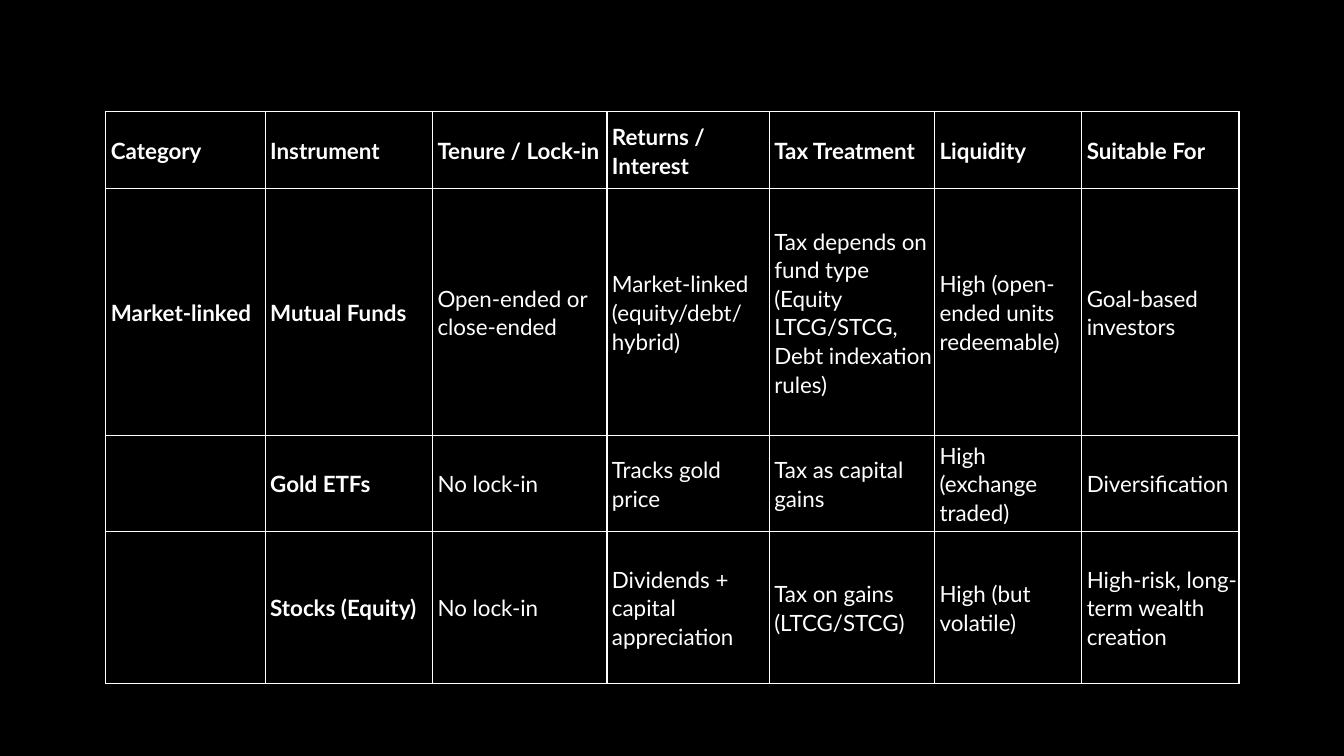
from pptx import Presentation
from pptx import util as u
from pptx.dml.color import RGBColor
from pptx.enum import text
from pptx.oxml import parse_xml
from pptx.oxml.ns import nsdecls

BLACK = RGBColor(0x00, 0x00, 0x00)
WHITE = RGBColor(0xFF, 0xFF, 0xFF)
PX = 9144

WIDTHS = [158, 166, 173, 161, 164, 146, 156]
HEIGHTS = [76, 245, 95, 151]
ROWS = [
    ["Category", "Instrument", "Tenure / Lock-in", "Returns / Interest",
     "Tax Treatment", "Liquidity", "Suitable For"],
    ["Market-linked", "Mutual Funds", "Open-ended or close-ended",
     "Market-linked (equity/debt/ hybrid)",
     "Tax depends on fund type (Equity LTCG/STCG, Debt indexation rules)",
     "High (open-ended units redeemable)", "Goal-based investors"],
    ["", "Gold ETFs", "No lock-in", "Tracks gold price",
     "Tax as capital gains", "High (exchange traded)", "Diversification"],
    ["", "Stocks (Equity)", "No lock-in", "Dividends + capital appreciation",
     "Tax on gains (LTCG/STCG)", "High (but volatile)",
     "High-risk, long-term wealth creation"],
]


class Deck:
    font = "Lato"
    size = u.Pt(16)
    ink = WHITE
    rule = u.Pt(1)

    def __init__(self, width, height):
        self.prs = Presentation()
        self.prs.slide_width = self.px(width)
        self.prs.slide_height = self.px(height)
        self.slide = self.prs.slides.add_slide(self.prs.slide_layouts[6])

    def px(self, n):
        return u.Emu(n * PX)

    def back(self, color):
        fill = self.slide.background.fill
        fill.solid()
        fill.fore_color.rgb = color

    def table(self, left, top, widths, heights, rows):
        box = [self.px(n) for n in (left, top, sum(widths), sum(heights))]
        grid = self.slide.shapes.add_table(len(rows), len(widths), *box).table
        grid.first_row = grid.horz_banding = False
        for col, width in zip(grid.columns, widths):
            col.width = self.px(width)
        for row, height in zip(grid.rows, heights):
            row.height = self.px(height)
        for r, row in enumerate(rows):
            for c, words in enumerate(row):
                self.cell(grid.cell(r, c), words, r == 0 or c < 2)

    def cell(self, cell, words, bold):
        self.edge(cell)
        cell.fill.background()
        cell.vertical_anchor = text.MSO_ANCHOR.MIDDLE
        cell.margin_left = cell.margin_right = self.px(1)
        cell.margin_top = cell.margin_bottom = self.px(1)
        cell.text_frame.text = words
        para = cell.text_frame.paragraphs[0]
        props = para._p.get_or_add_pPr()
        props.set("marL", str(self.px(4)))
        props.set("indent", "0")
        para.line_spacing = 1.07
        para.space_after = u.Pt(8)
        for run in para.runs:
            run.font.name = self.font
            run.font.size = self.size
            run.font.bold = bold
            run.font.color.rgb = self.ink

    def edge(self, cell):
        props = cell._tc.get_or_add_tcPr()
        for side in "LRTB":
            props.append(parse_xml(
                f'<a:ln{side} {nsdecls("a")} w="{self.rule}"><a:solidFill>'
                f'<a:srgbClr val="{self.ink}"/></a:solidFill></a:ln{side}>'))

    def save(self):
        self.prs.save("out.pptx")


def main():
    deck = Deck(1333, 750)
    deck.back(BLACK)
    deck.table(105, 111, WIDTHS, HEIGHTS, ROWS)
    deck.save()


if __name__ == "__main__":
    main()
